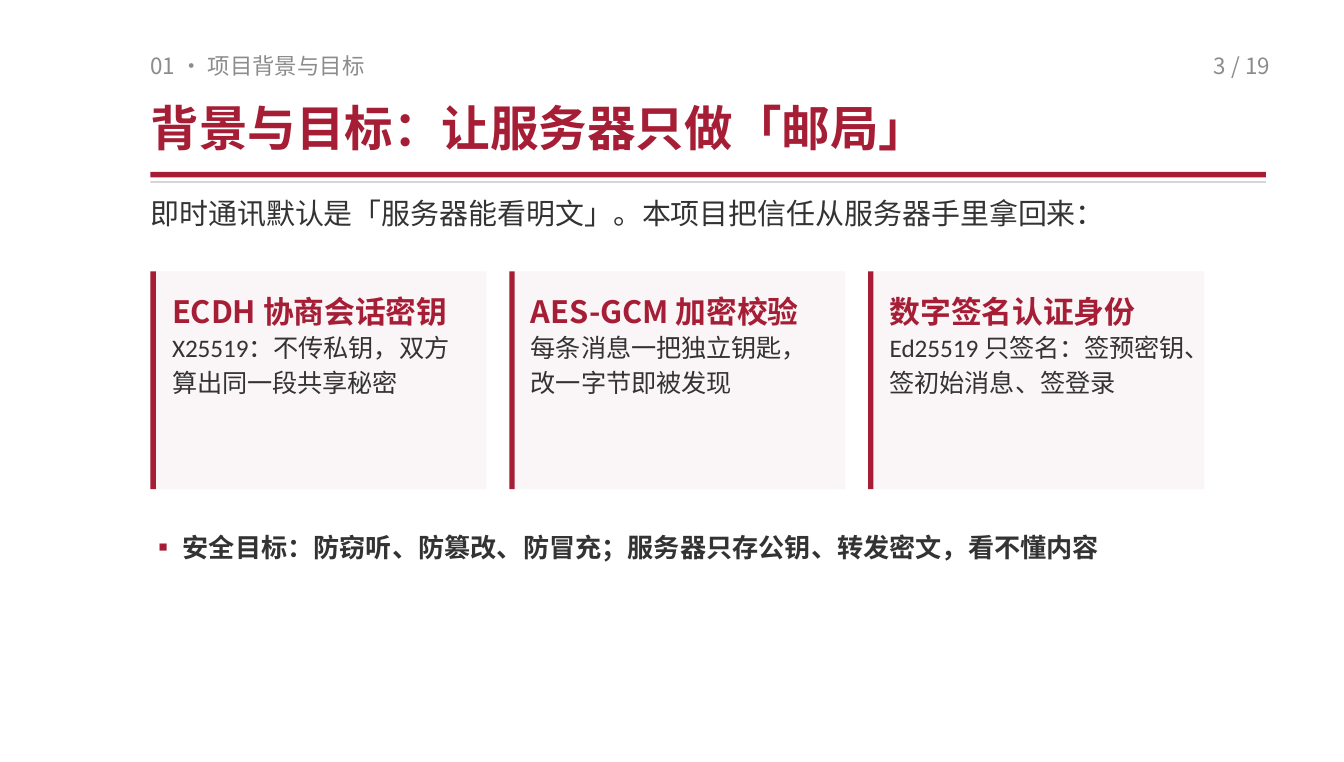
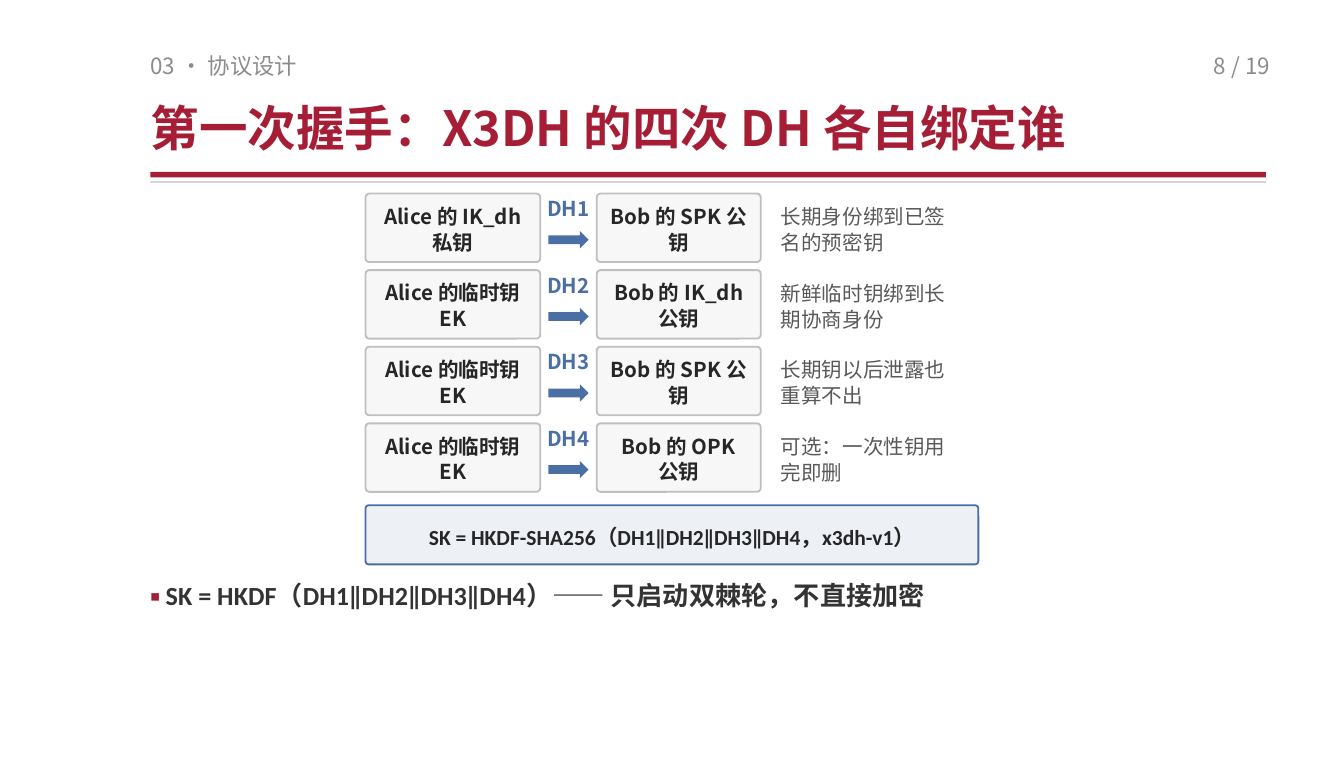
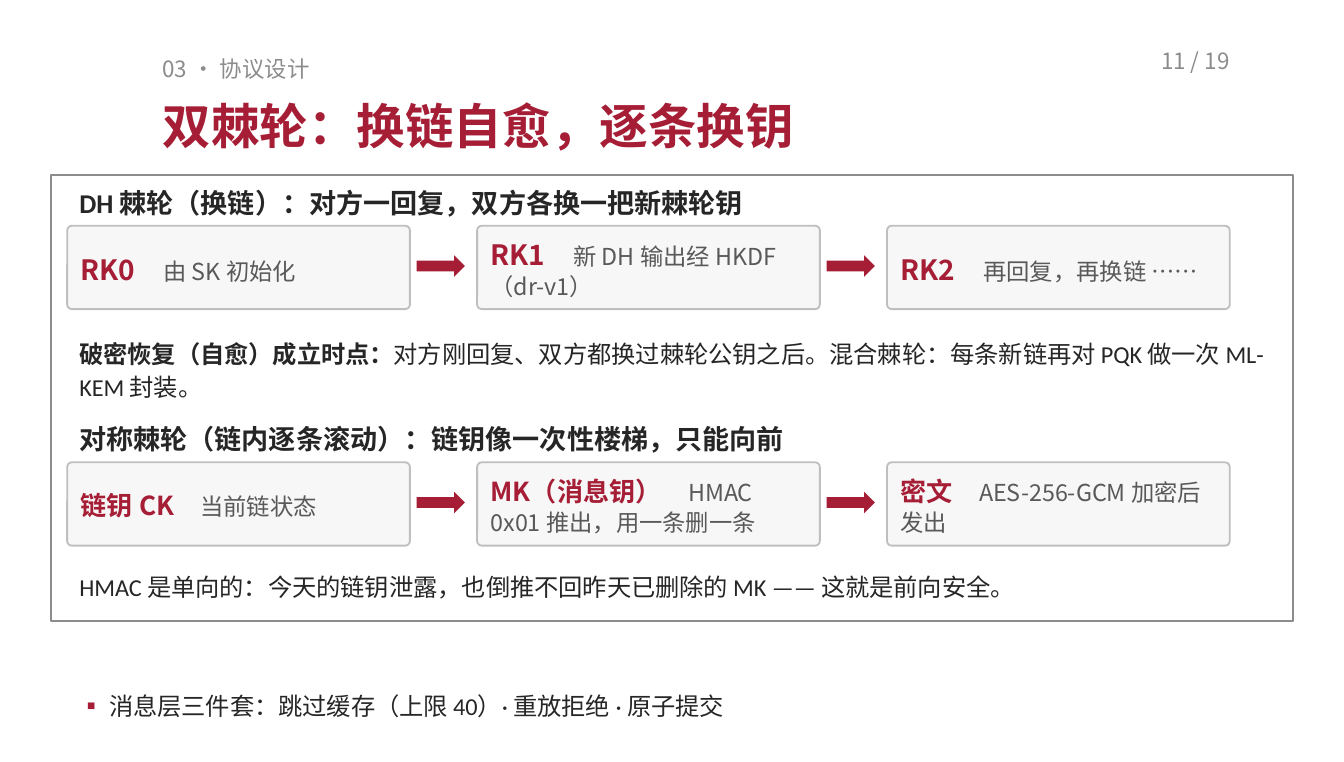
from lxml import etree
from pptx import Presentation
from pptx.dml.color import RGBColor
from pptx.enum.shapes import MSO_SHAPE
from pptx.enum.text import MSO_ANCHOR, MSO_AUTO_SIZE, PP_ALIGN
from pptx.oxml.ns import qn
from pptx.util import Inches, Pt

RECT, ROUNDED, ARROW = MSO_SHAPE.RECTANGLE, MSO_SHAPE.ROUNDED_RECTANGLE, MSO_SHAPE.RIGHT_ARROW
LEFT, CENTER, RIGHT = PP_ALIGN.LEFT, PP_ALIGN.CENTER, PP_ALIGN.RIGHT

COLORS = {
    "red": "A61E36", "blue": "4A6FA5", "gray": "8C8C8C", "rule": "BFBFBF",
    "body": "333333", "ink": "262626", "note": "595959",
    "pink": "FAF5F6", "box": "F7F7F7", "pale_blue": "EDF0F4", "white": "FFFFFF",
}
HEAD_FONT, BODY_FONT = "Noto Sans CJK SC", "Calibri"
FLUSH = (0, 0, 0, 0)
PADDED = (0.09, 0.05, 0.09, 0.04)
MARGIN = 1.12

# Paragraph formats
HEADING = {"line_spacing": 1.25, "space_after": Pt(4)}
BODY = {"line_spacing": 1.15, "space_after": Pt(4)}
LABEL = {"line_spacing": 1.1, "space_after": Pt(3)}
BOX = {"line_spacing": 1.05, "space_after": Pt(3)}
PLAIN = {"line_spacing": 1.0, "space_after": Pt(0)}

GOALS = {
    "section": "01 · 项目背景与目标",
    "page": "3 / 19",
    "title": "背景与目标：让服务器只做「邮局」",
    "lead": "即时通讯默认是「服务器能看明文」。本项目把信任从服务器手里拿回来：",
    "cards": [
        ("ECDH 协商会话密钥", "X25519：不传私钥，双方算出同一段共享秘密"),
        ("AES-GCM 加密校验", "每条消息一把独立钥匙，改一字节即被发现"),
        ("数字签名认证身份", "Ed25519 只签名：签预密钥、签初始消息、签登录"),
    ],
    "point": "安全目标：防窃听、防篡改、防冒充；服务器只存公钥、转发密文，看不懂内容",
}
HANDSHAKE = {
    "section": "03 · 协议设计",
    "page": "8 / 19",
    "title": "第一次握手：X3DH 的四次 DH 各自绑定谁",
    "exchanges": [
        ("Alice 的 IK_dh 私钥", "Bob 的 SPK 公钥", "长期身份绑到已签名的预密钥"),
        ("Alice 的临时钥 EK", "Bob 的 IK_dh 公钥", "新鲜临时钥绑到长期协商身份"),
        ("Alice 的临时钥 EK", "Bob 的 SPK 公钥", "长期钥以后泄露也重算不出"),
        ("Alice 的临时钥 EK", "Bob 的 OPK 公钥", "可选：一次性钥用完即删"),
    ],
    "result": "SK = HKDF-SHA256（DH1‖DH2‖DH3‖DH4，x3dh-v1）",
    "point": "SK = HKDF（DH1‖DH2‖DH3‖DH4）—— 只启动双棘轮，不直接加密",
}
RATCHET = {
    "section": "03 · 协议设计",
    "page": "11 / 19",
    "title": "双棘轮：换链自愈，逐条换钥",
    "chains": [
        {
            "top": 1.3, "name_size": 15,
            "heading": "DH 棘轮（换链）：对方一回复，双方各换一把新棘轮钥",
            "steps": [("RK0", "由 SK 初始化"), ("RK1", "新 DH 输出经 HKDF（dr-v1）"),
                      ("RK2", "再回复，再换链 ……")],
            "remark_top": 2.44, "remark_height": 0.55,
            "remark": [
                ("破密恢复（自愈）成立时点：", True),
                ("对方刚回复、双方都换过棘轮公钥之后。混合棘轮：每条新链再对 PQK 做一次 ML-KEM 封装。", False),
            ],
        },
        {
            "top": 3.06, "name_size": 14,
            "heading": "对称棘轮（链内逐条滚动）：链钥像一次性楼梯，只能向前",
            "steps": [("链钥 CK", "当前链状态"), ("MK（消息钥）", "HMAC 0x01 推出，用一条删一条"),
                      ("密文", "AES-256-GCM 加密后发出")],
            "remark_top": 4.18, "remark_height": 0.35,
            "remark": [
                ("HMAC 是单向的：今天的链钥泄露，也倒推不回昨天已删除的 MK —— 这就是前向安全。", False),
            ],
        },
    ],
    "point": "消息层三件套：跳过缓存（上限 40）· 重放拒绝 · 原子提交",
}


def color(name):
    return RGBColor.from_string(COLORS[name])


def run_of(text, size, color_name, bold=False, font=HEAD_FONT):
    return {"text": text, "size": size, "color": color_name, "bold": bold, "font": font}


def write(shape, runs, layout, align=LEFT, insets=PADDED):
    """Fill the shape with one paragraph made of the given runs."""
    frame = shape.text_frame
    frame.word_wrap = True
    for side, inset in zip(("left", "top", "right", "bottom"), insets):
        setattr(frame, f"margin_{side}", Inches(inset))
    paragraph = frame.paragraphs[0]
    paragraph.alignment = align
    for name, value in layout.items():
        setattr(paragraph, name, value)
    for part in runs:
        run = paragraph.add_run()
        run.text = part["text"]
        values = {"name": part["font"], "size": Pt(part["size"]), "bold": part["bold"]}
        for name, value in values.items():
            setattr(run.font, name, value)
        run.font.color.rgb = color(part["color"])
        east_asian = etree.SubElement(run.font._element, qn("a:ea"))
        east_asian.set("typeface", HEAD_FONT)


def add_text(slide, at, runs, layout, align=LEFT, insets=PADDED):
    box = slide.shapes.add_textbox(*map(Inches, at))
    write(box, runs, layout, align, insets)
    box.text_frame.auto_size = MSO_AUTO_SIZE.SHAPE_TO_FIT_TEXT


def add_shape(slide, kind, at, fill=None, line=None):
    shape = slide.shapes.add_shape(kind, *map(Inches, at))
    shape.shadow.inherit = False
    if fill:
        shape.fill.solid()
        shape.fill.fore_color.rgb = color(fill)
    else:
        shape.fill.background()
    if line:
        shape.line.color.rgb = color(line)
        shape.line.width = Pt(1)
    else:
        shape.line.fill.background()
    return shape


def add_box(slide, at, runs, layout=BOX, align=LEFT, fill="box", line="rule"):
    """Rounded, outlined box with vertically centred text."""
    box = add_shape(slide, ROUNDED, at, fill, line)
    box.adjustments[0] = 0.055
    write(box, runs, layout, align)
    box.text_frame.vertical_anchor = MSO_ANCHOR.MIDDLE


def add_point(slide, at, text, size, bold, text_color, insets):
    runs = [run_of("▪ ", size, "red", True, BODY_FONT),
            run_of(text, size, text_color, bold, BODY_FONT)]
    add_text(slide, at, runs, BODY, insets=insets)


def start_slide(presentation, content, layout=HEADING, insets=FLUSH,
                page_top=0.34, page_layout=HEADING, page_align=RIGHT):
    slide = presentation.slides.add_slide(presentation.slide_layouts[6])
    slide.background.fill.solid()
    slide.background.fill.fore_color.rgb = color("white")
    add_text(slide, (MARGIN, 0.34, 4.5, 0.3), [run_of(content["section"], 12, "gray")],
             layout, insets=insets)
    add_text(slide, (8.55, page_top, 0.9, 0.3), [run_of(content["page"], 12, "gray")],
             page_layout, page_align, insets)
    add_text(slide, (MARGIN, 0.62, 8.3, 0.62), [run_of(content["title"], 26, "red", True)],
             layout, insets=insets)
    return slide


def add_title_rules(slide):
    for top, height, fill in ((1.28, 0.04, "red"), (1.35, 0.01, "rule")):
        add_shape(slide, RECT, (MARGIN, top, 8.3, height), fill)


def build_goals(presentation):
    slide = start_slide(presentation, GOALS)
    add_title_rules(slide)
    add_text(slide, (MARGIN, 1.42, 7.8, 0.75),
             [run_of(GOALS["lead"], 15.5, "body", font=BODY_FONT)], BODY, insets=FLUSH)
    top, width, height, gap = 2.02, 2.5, 1.62, 0.17
    for index, (heading, detail) in enumerate(GOALS["cards"]):
        left = MARGIN + index * (width + gap)
        add_shape(slide, RECT, (left, top, width, height), "pink")
        add_shape(slide, RECT, (left, top, 0.04, height), "red")
        add_text(slide, (left + 0.16, top + 0.09, 2.22, 0.3),
                 [run_of(heading, 16.5, "red", True)], HEADING, insets=FLUSH)
        add_text(slide, (left + 0.16, top + 0.42, 2.22, 1.12),
                 [run_of(detail, 13.5, "body", font=BODY_FONT)], BODY, insets=FLUSH)
    add_point(slide, (MARGIN, 3.92, 7.85, 1.5), GOALS["point"], 14, True, "body", FLUSH)


def build_handshake(presentation):
    slide = start_slide(presentation, HANDSHAKE)
    add_title_rules(slide)
    height, pitch = 0.51, 0.57
    for index, (alice_key, bob_key, purpose) in enumerate(HANDSHAKE["exchanges"]):
        top = 1.44 + index * pitch
        add_box(slide, (2.72, top, 1.3, height), [run_of(alice_key, 11, "ink", True)], align=CENTER)
        add_text(slide, (4.02, top + 0.02, 0.42, 0.2),
                 [run_of(f"DH{index + 1}", 11, "blue", True)], PLAIN, CENTER, FLUSH)
        add_shape(slide, ARROW, (4.08, top + 0.28, 0.3, 0.13), "blue")
        add_box(slide, (4.44, top, 1.22, height), [run_of(bob_key, 11, "ink", True)], align=CENTER)
        add_text(slide, (5.72, top + 0.02, 1.54, height), [run_of(purpose, 11, "note")], BOX)
    add_box(slide, (2.72, 3.76, 4.56, 0.44),
            [run_of(HANDSHAKE["result"], 11.5, "ink", True, BODY_FONT)],
            BODY, CENTER, "pale_blue", "blue")
    add_point(slide, (MARGIN, 4.28, 8.55, 1.35), HANDSHAKE["point"], 14, True, "body", FLUSH)


def build_ratchet(presentation):
    slide = start_slide(presentation, RATCHET, LABEL, PADDED, 0.3, PLAIN, LEFT)
    left, width, pitch = 0.5, 2.55, 3.05
    for chain in RATCHET["chains"]:
        add_text(slide, (left, chain["top"], 9, 0.32),
                 [run_of(chain["heading"], 14.5, "ink", True, BODY_FONT)], BODY)
        step_top = chain["top"] + 0.38
        for index, (name, detail) in enumerate(chain["steps"]):
            step_left = left + index * pitch
            if index:
                add_shape(slide, ARROW, (step_left - 0.45, step_top + 0.22, 0.36, 0.16), "red")
            add_box(slide, (step_left, step_top, width, 0.62),
                    [run_of(f"{name}　", chain["name_size"], "red", True),
                     run_of(detail, 12.5, "note")])
        add_text(slide, (left, chain["remark_top"], 9, chain["remark_height"]),
                 [run_of(text, 13, "ink", bold, BODY_FONT) for text, bold in chain["remark"]], BODY)
    add_point(slide, (left, 5.06, 9.05, 0.55), RATCHET["point"], 13, False, "ink", PADDED)
    add_shape(slide, RECT, (0.38, 1.3, 9.24, 3.32), line="gray")


def main():
    presentation = Presentation()
    presentation.slide_width, presentation.slide_height = Inches(10), Inches(5.67)
    for build in (build_goals, build_handshake, build_ratchet):
        build(presentation)
    presentation.save("out.pptx")


if __name__ == "__main__":
    main()
